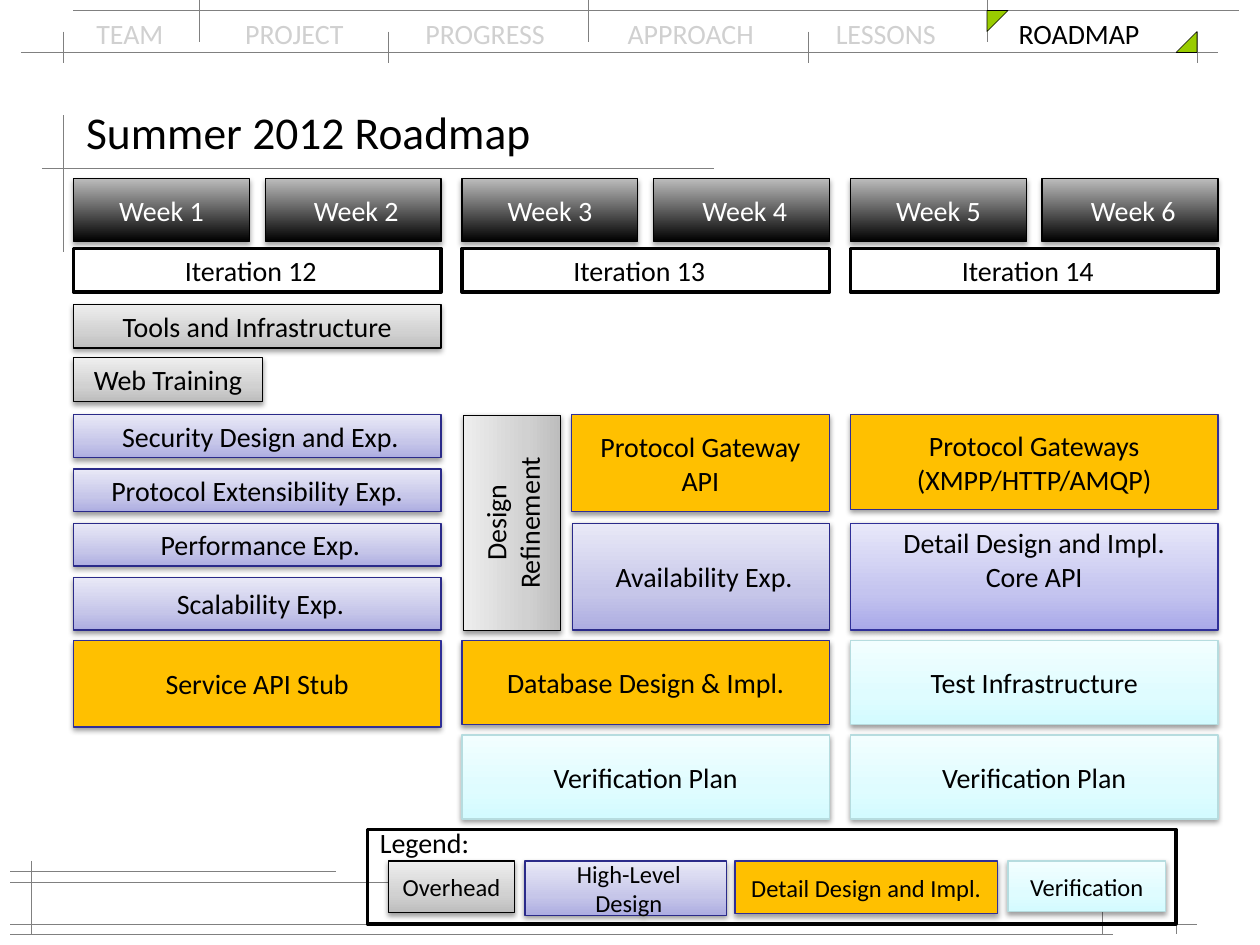
from copy import deepcopy

from lxml.etree import SubElement
from pptx import Presentation
from pptx.dml.color import RGBColor as RGB
from pptx.enum.shapes import MSO_CONNECTOR as CONNECTOR, MSO_SHAPE as SHAPE
from pptx.enum.text import MSO_ANCHOR as ANCHOR, MSO_AUTO_SIZE as AUTO, PP_ALIGN as ALIGN
from pptx.oxml.ns import qn
from pptx.util import Pt

BLACK = RGB(0x00, 0x00, 0x00)
WHITE = RGB(0xFF, 0xFF, 0xFF)
NAV_GRAY = RGB(0xD0, 0xD0, 0xD0)
RULE_GRAY = RGB(0x80, 0x80, 0x80)
GREEN = RGB(0x99, 0xCC, 0x00)
NAVY = RGB(0x2A, 0x2A, 0x89)
INDIGO = RGB(0x2F, 0x2F, 0x98)
AQUA = RGB(0xB6, 0xDC, 0xDF)
AMBER = RGB(0xFF, 0xC0, 0x00)
GRAYS = [RGB(0xBD, 0xBD, 0xBD), RGB(0xD1, 0xD1, 0xD1), RGB(0xEE, 0xEE, 0xEE)]
LILACS = [RGB(0xAD, 0xAD, 0xE1), RGB(0xC6, 0xC6, 0xE9), RGB(0xE9, 0xE9, 0xF7)]
VIOLETS = [RGB(0xA9, 0xA9, 0xE9), RGB(0xC4, 0xC4, 0xEF), RGB(0xE8, 0xE8, 0xFA)]
CYANS = [RGB(0xD3, 0xFB, 0xFF), RGB(0xDF, 0xFC, 0xFF), RGB(0xF2, 0xFE, 0xFF)]

STYLES = {
    "week": dict(fill=[BLACK, GRAYS[0]], line=BLACK, shadow=35),
    "iteration": dict(fill=[WHITE], line=BLACK, weight=2),
    "frame": dict(fill=[], line=BLACK, weight=2),
    "overhead": dict(fill=GRAYS, line=BLACK, shadow=38),
    "high-level": dict(fill=LILACS, line=NAVY, shadow=38),
    "core": dict(fill=VIOLETS, line=INDIGO, shadow=38),
    "detail": dict(fill=[AMBER], line=INDIGO, shadow=38),
    "verification": dict(fill=CYANS, line=AQUA, shadow=38),
    "corner": dict(fill=[GREEN], line=BLACK, weight=0.3),
}

TITLE = "Summer 2012 Roadmap"
SECTIONS = ["TEAM", "PROJECT", "PROGRESS", "APPROACH", "LESSONS"]
CURRENT_SECTION = "ROADMAP"
SECTION_STOPS = [85, 188, 303.5, 422.5, 527]
ITERATIONS = [
    ("Iteration 12", "Week 1", "Week 2"),
    ("Iteration 13", "Week 3", "Week 4"),
    ("Iteration 14", "Week 5", "Week 6"),
]
COLUMN_LEFT, COLUMN_STEP, COLUMN_WIDTH = 42, 222, 210
WEEK_WIDTH = 100.5
NUDGE = dict(left=10.8)

TASKS = [
    ("Tools and Infrastructure", "overhead", 0, 0, 174, 210, 25, {}),
    ("Web Training", "overhead", 0, 0, 204.5, 108, 25, {}),
    ("Security Design and Exp.", "high-level", 0, 0, 237, 210, 24.5, NUDGE),
    ("Protocol Extensibility Exp.", "high-level", 0, 0, 268, 210, 24.5, {}),
    ("Performance Exp.", "high-level", 0, 0, 299, 210, 24.5, NUDGE),
    ("Scalability Exp.", "high-level", 0, 0, 330, 210, 30, NUDGE),
    ("Service API Stub", "detail", 0, 0, 366, 210, 49.5, {}),
    ("Design Refinement", "overhead", 1, -33, 271, 123, 55.5, dict(rotation=270)),
    ("Protocol Gateway API", "detail", 1, 62.5, 237, 147.5, 55.5, {}),
    ("Availability Exp.", "high-level", 1, 63, 299, 147, 61, NUDGE),
    ("Database Design & Impl.", "detail", 1, 0, 366, 210, 48, {}),
    ("Verification Plan", "verification", 1, 0, 420, 210, 48, {}),
    ("Protocol Gateways\n(XMPP/HTTP/AMQP)", "detail", 2, 0, 237, 210, 54, {}),
    ("Detail Design and Impl.\nCore API", "core", 2, 0, 299, 210, 61, dict(bottom=23)),
    ("Test Infrastructure", "verification", 2, 0, 366, 210, 48, {}),
    ("Verification Plan", "verification", 2, 0, 420, 210, 48, {}),
]
LEGEND = [
    ("Overhead", "overhead", 222, 72, 29.5, {}),
    ("High-Level Design", "high-level", 300, 115, 31, NUDGE),
    ("Detail Design and Impl.", "detail", 420, 150, 30, {}),
    ("Verification", "verification", 576, 90, 29, {}),
]
HORIZONTAL_RULES = [
    (30, 12, 696), (6, 42, 708), (96, 24, 408), (504, 6, 222),
    (528, 6, 684), (498, 6, 192), (534, 6, 636),
]
VERTICAL_RULES = [
    (36, 66, 144), (18, 492, 534), (672, 492, 534), (630, 510, 534),
    (36, 18, 36), (222, 18, 36), (462, 18, 36), (684, 18, 36),
    (114, 0, 24), (336, 0, 24), (564, 0, 24),
]
CORNERS = [(564, 6, 90), (672, 18, 270)]


def write_text(shape, text, size=16, color=BLACK, align=ALIGN.CENTER,
               anchor=ANCHOR.MIDDLE, wrap=True, left=7.2, right=7.2, bottom=3.6):
    frame = shape.text_frame
    frame.auto_size = AUTO.NONE
    frame.word_wrap = wrap
    frame.vertical_anchor = anchor
    frame.margin_left, frame.margin_right = Pt(left), Pt(right)
    frame.margin_top, frame.margin_bottom = Pt(3.6), Pt(bottom)
    for index, words in enumerate(text.split("\n")):
        paragraph = frame.add_paragraph() if index else frame.paragraphs[0]
        paragraph.alignment = align
        add_run(paragraph, words, size, color)


def add_run(paragraph, words, size, color):
    run = paragraph.add_run()
    run.text = words
    run.font.name = "Calibri"
    run.font.size = Pt(size)
    run.font.color.rgb = color


def paint(fill, colors):
    if not colors:
        fill.background()
    elif len(colors) == 1:
        fill.solid()
        fill.fore_color.rgb = colors[0]
    else:
        fill.gradient()
        fill.gradient_angle = 90
        stops = fill._fill._gradFill.find(qn("a:gsLst"))
        if len(colors) == 3:
            stops.insert(1, deepcopy(stops[0]))
        positions = [0, 1] if len(colors) == 2 else [0, 0.35, 1]
        for stop, color, position in zip(fill.gradient_stops, colors, positions):
            stop.color.rgb = color
            stop.position = position


def cast_shadow(shape, opacity):
    effects = shape._element.spPr.find(qn("a:effectLst"))
    shadow = SubElement(effects, qn("a:outerShdw"), blurRad=str(Pt(3.1)),
                        dist=str(Pt(1.6)), dir="5400000", rotWithShape="0")
    tint = SubElement(shadow, qn("a:srgbClr"), val="000000")
    SubElement(tint, qn("a:alpha"), val=str(opacity * 1000))


def add_box(shapes, style, x, y, width, height, text="", preset=SHAPE.RECTANGLE,
            rotation=0, **text_format):
    look = STYLES[style]
    box = shapes.add_shape(preset, Pt(x), Pt(y), Pt(width), Pt(height))
    box.rotation = rotation
    paint(box.fill, look["fill"])
    box.line.color.rgb = look["line"]
    box.line.width = Pt(look.get("weight", 0.75))
    box.shadow.inherit = False
    if "shadow" in look:
        cast_shadow(box, look["shadow"])
    if text:
        write_text(box, text, **text_format)


def add_rule(shapes, x1, y1, x2, y2):
    rule = shapes.add_connector(CONNECTOR.STRAIGHT, Pt(x1), Pt(y1), Pt(x2), Pt(y2))
    rule.line.color.rgb = RULE_GRAY
    rule.line.width = Pt(0.3)
    SubElement(rule._element.spPr, qn("a:effectLst"))


def add_navigation(shapes):
    nav = shapes.add_textbox(Pt(48), Pt(6), Pt(624), Pt(26.5))
    write_text(nav, "\t".join(SECTIONS) + "\t", color=NAV_GRAY, align=ALIGN.LEFT)
    paragraph = nav.text_frame.paragraphs[0]
    add_run(paragraph, CURRENT_SECTION, 16, BLACK)
    tabs = SubElement(paragraph._p.get_or_add_pPr(), qn("a:tabLst"))
    for stop in SECTION_STOPS:
        SubElement(tabs, qn("a:tab"), pos=str(Pt(stop)), algn="l")


def main():
    deck = Presentation()
    deck.slide_width, deck.slide_height = Pt(720), Pt(540)
    slide = deck.slides.add_slide(deck.slide_layouts[5])
    shapes = slide.shapes

    title = shapes.title
    title.left, title.top, title.width, title.height = Pt(42), Pt(54), Pt(636), Pt(42)
    write_text(title, TITLE, size=26, align=ALIGN.LEFT)

    add_navigation(shapes)
    for y, start, end in HORIZONTAL_RULES:
        add_rule(shapes, start, y, end, y)
    for x, start, end in VERTICAL_RULES:
        add_rule(shapes, x, start, x, end)
    for x, y, rotation in CORNERS:
        add_box(shapes, "corner", x, y, 12, 12, preset=SHAPE.RIGHT_TRIANGLE, rotation=rotation)

    for column, (iteration, first, second) in enumerate(ITERATIONS):
        x = COLUMN_LEFT + column * COLUMN_STEP
        header = shapes.add_group_shape().shapes
        add_box(header, "week", x, 102, WEEK_WIDTH, 36, first, color=WHITE)
        add_box(header, "week", x + COLUMN_WIDTH - WEEK_WIDTH, 102, WEEK_WIDTH, 36,
                second, color=WHITE, **NUDGE)
        add_box(header, "iteration", x, 142, COLUMN_WIDTH, 25, iteration, right=14.4)

    for text, style, column, offset, y, width, height, extra in TASKS:
        x = COLUMN_LEFT + column * COLUMN_STEP + offset
        add_box(shapes, style, x, y, width, height, text, **extra)

    legend = shapes.add_group_shape().shapes
    add_box(legend, "frame", 210, 474, 462, 54)
    for text, style, x, width, height, extra in LEGEND:
        add_box(legend, style, x, 492, width, height, text, size=14, **extra)
    caption = legend.add_textbox(Pt(210), Pt(468), Pt(66), Pt(26.5))
    write_text(caption, "Legend:", align=ALIGN.LEFT, anchor=ANCHOR.TOP, wrap=False)

    deck.save("out.pptx")


if __name__ == "__main__":
    main()
